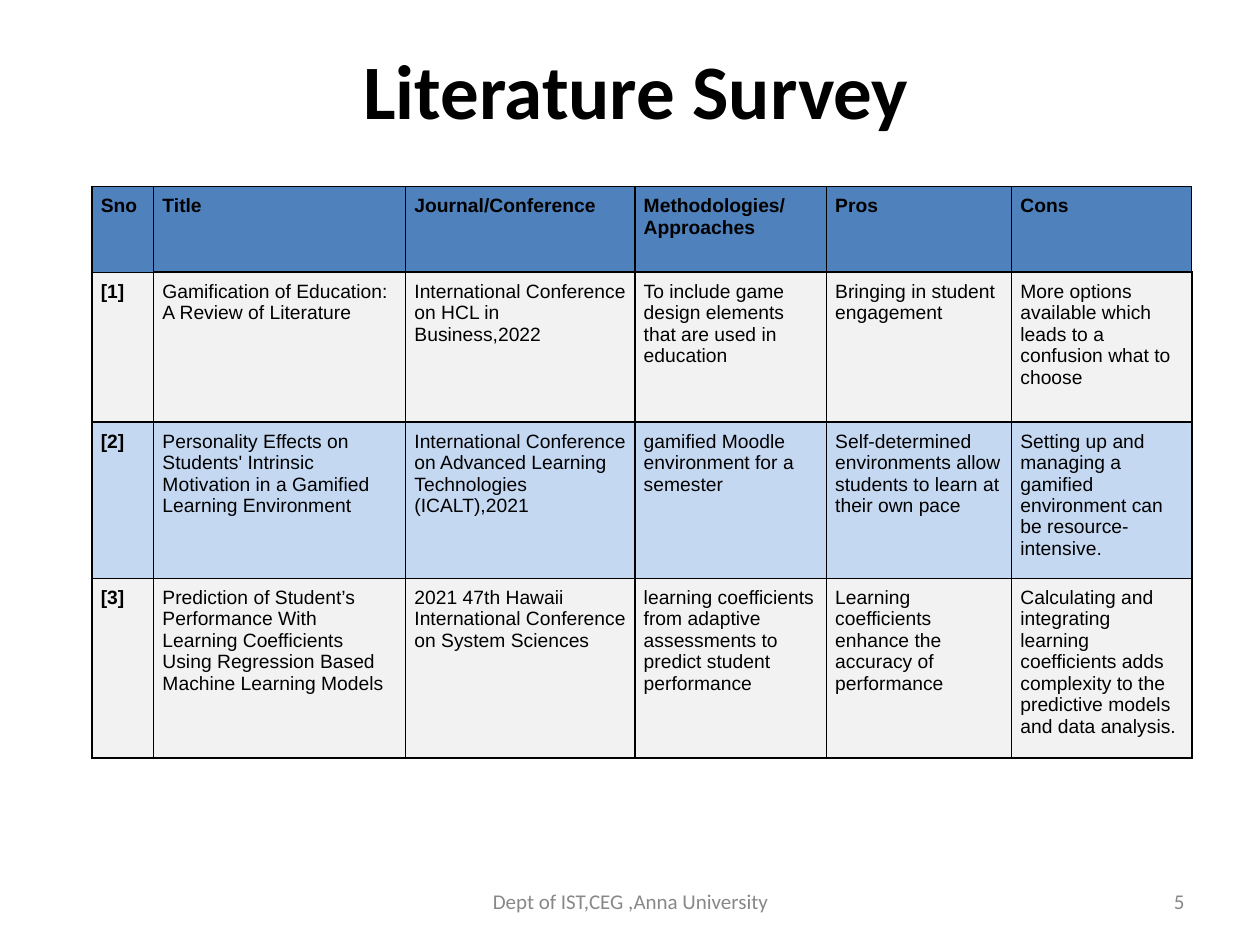
from lxml import etree
from pptx import Presentation
from pptx.dml.color import RGBColor
from pptx.enum.text import MSO_ANCHOR as Anchor, PP_ALIGN as Align
from pptx.oxml.ns import qn
from pptx.util import Inches, Pt

BLACK, GREY = "000000", "888888"
HEADER_FILL, BAND_FILLS = "4F81BD", ("F2F2F2", "C5D8F1")
THIN, THICK = 0.75, 1

COL_WIDTHS = (0.49, 2, 1.82, 1.52, 1.47, 1.43)
ROW_HEIGHTS = (0.68, 1.19, 1.24, 1.24)
PAPERS = (
    ("Sno", "Title", "Journal/Conference", "Methodologies/\nApproaches", "Pros", "Cons"),
    ("[1]",
     "Gamification of Education: A Review of Literature",
     "International Conference on HCL in Business,2022",
     "To include game design elements that are used in education",
     "Bringing in student engagement",
     "More options available which leads to a confusion what to choose"),
    ("[2]",
     "Personality Effects on Students' Intrinsic Motivation in a Gamified Learning Environment",
     "International Conference on Advanced Learning Technologies (ICALT),2021",
     "gamified Moodle environment for a semester",
     "Self-determined environments allow students to learn at their own pace",
     "Setting up and managing a gamified environment can be resource-intensive."),
    ("[3]",
     "Prediction of Student’s Performance With Learning Coefficients Using Regression Based "
     "Machine Learning Models",
     "2021 47th Hawaii International Conference on System Sciences",
     "learning coefficients from adaptive assessments to predict student performance",
     "Learning coefficients enhance the accuracy of performance",
     "Calculating and integrating learning coefficients adds complexity to the predictive "
     "models and data analysis."),
)


def rgb(value):
    return RGBColor.from_string(value)


def set_attrs(obj, values):
    for name, value in values.items():
        setattr(obj, name, value)


def set_margins(obj, x, y):
    set_attrs(obj, {"margin_left": Inches(x), "margin_right": Inches(x),
                    "margin_top": Inches(y), "margin_bottom": Inches(y)})


def write_text(tf, text, font, size, color=BLACK, bold=False, align=Align.LEFT):
    tf.text = text
    for p in tf.paragraphs:
        p.alignment = align
        for r in p.runs:
            set_attrs(r.font, {"name": font, "size": Pt(size), "bold": bold})
            r.font.color.rgb = rgb(color)


def add_label(slide, box, text, size, align, margins=(0.1, 0.05),
              anchor=Anchor.MIDDLE, **style):
    tf = slide.shapes.add_textbox(*map(Inches, box)).text_frame
    set_attrs(tf, {"word_wrap": True, "vertical_anchor": anchor})
    set_margins(tf, *margins)
    write_text(tf, text, "Calibri", size, align=align, **style)


def set_borders(cell, widths):
    """Draw black edges; widths are points for left, right, top, bottom."""
    tc_pr = cell._tc.get_or_add_tcPr()
    for i, (tag, width) in enumerate(zip(("a:lnL", "a:lnR", "a:lnT", "a:lnB"), widths)):
        ln = etree.Element(qn(tag), w=str(Pt(width)))
        fill = etree.SubElement(ln, qn("a:solidFill"))
        etree.SubElement(fill, qn("a:srgbClr"), val=BLACK)
        tc_pr.insert(i, ln)


def add_survey_table(slide, box):
    table = slide.shapes.add_table(len(PAPERS), len(COL_WIDTHS), *map(Inches, box)).table
    for column, width in zip(table.columns, COL_WIDTHS):
        column.width = Inches(width)
    for row, height in zip(table.rows, ROW_HEIGHTS):
        row.height = Inches(height)
    for i, paper in enumerate(PAPERS):
        for j, text in enumerate(paper):
            cell = table.cell(i, j)
            header, first = i == 0, j == 0
            set_margins(cell, 0.07, 0.07)
            write_text(cell.text_frame, text, "Arial", 11, bold=header or first)
            cell.fill.solid()
            cell.fill.fore_color.rgb = rgb(HEADER_FILL if header else BAND_FILLS[(i - 1) % 2])
            set_borders(cell, (THIN if header or first else THICK,
                               THIN if header else THICK,
                               THIN if header or (first and i == 1) else THICK,
                               THIN if header and first else THICK))


def add_footer(slide, top, height):
    add_label(slide, (3.42, top, 3.17, height), "Dept of IST,CEG ,Anna University",
              12, Align.CENTER, color=GREY)
    add_label(slide, (7.17, top, 2.33, height), "5", 12, Align.RIGHT, color=GREY)


def main():
    prs = Presentation()
    set_attrs(prs, {"slide_width": Inches(10), "slide_height": Inches(7.5)})
    slide = prs.slides.add_slide(prs.slide_layouts[6])
    add_label(slide, (0.63, 0.3, 8.84, 0.7), "Literature Survey", 44, Align.CENTER,
              margins=(0.07, 0.04), anchor=Anchor.TOP, bold=True)
    add_survey_table(slide, (0.73, 1.48, sum(COL_WIDTHS), sum(ROW_HEIGHTS)))
    add_footer(slide, 6.95, 0.4)
    prs.save("out.pptx")


if __name__ == "__main__":
    main()
